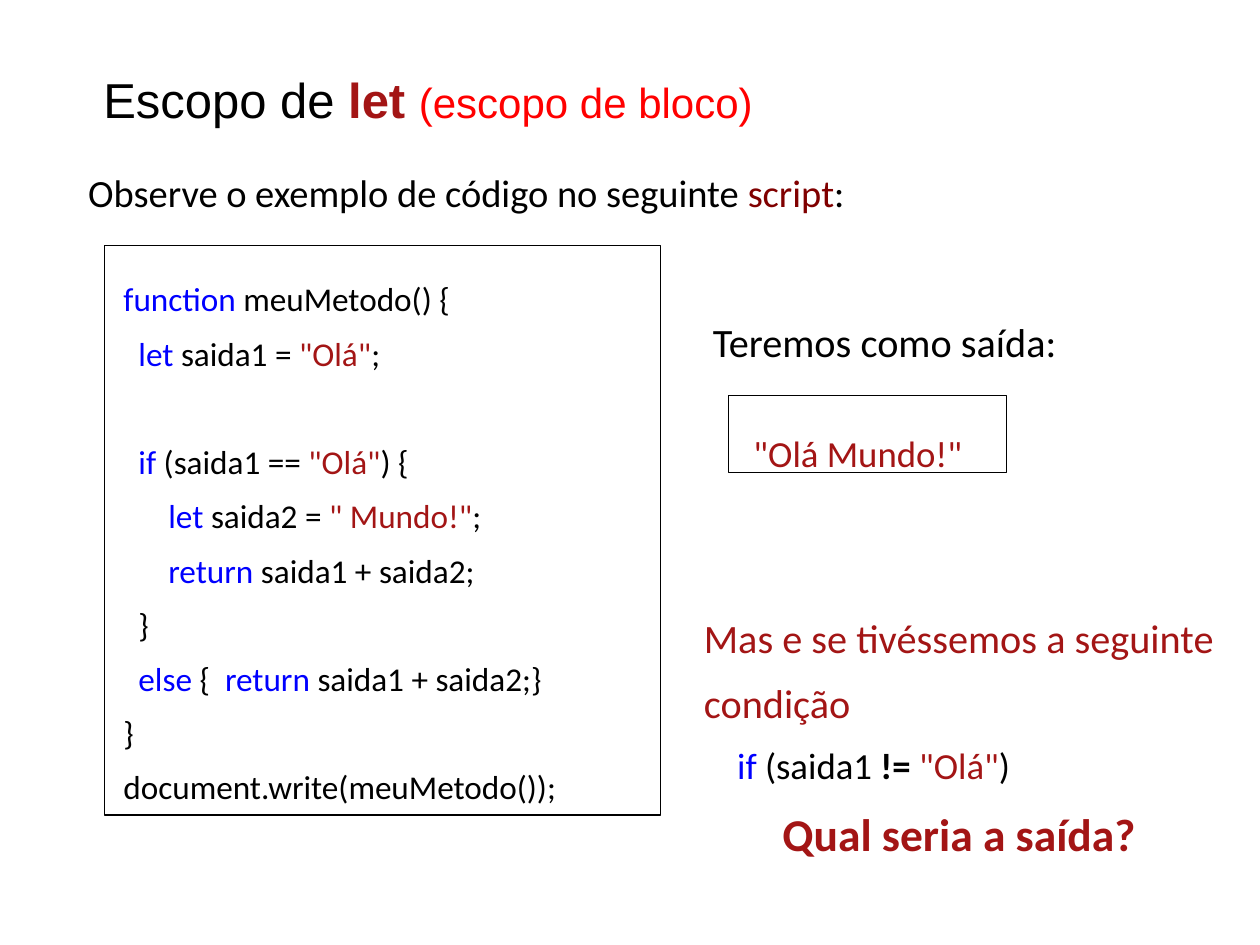
from pptx import Presentation
from pptx.dml.color import RGBColor
from pptx.enum.shapes import MSO_SHAPE as Kind
from pptx.enum.text import MSO_ANCHOR as Anchor, PP_ALIGN as Align
from pptx.util import Cm, Pt

BLACK = RGBColor(0x00, 0x00, 0x00)
WHITE = RGBColor(0xFF, 0xFF, 0xFF)
RED = RGBColor(0xFF, 0x00, 0x00)
BRICK = RGBColor(0xA3, 0x15, 0x15)
WINE = RGBColor(0x80, 0x00, 0x00)
BLUE = RGBColor(0x00, 0x00, 0xFF)

CODE = [
    [("function", BLUE), (" meuMetodo() {", BLACK)],
    [("  let", BLUE), (" saida1 = ", BLACK), ('"Olá"', BRICK), (";", BLACK)],
    [("  if", BLUE), (" (saida1 == ", BLACK), ('"Olá"', BRICK), (") {", BLACK)],
    [("      let", BLUE), (" saida2 = ", BLACK), ('" Mundo!"', BRICK), (";", BLACK)],
    [("      return", BLUE), (" saida1 + saida2;", BLACK)],
    [("  }", BLACK)],
    [("  else", BLUE), (" { ", BLACK), (" return", BLUE), (" saida1 + saida2;}", BLACK)],
    [("}", BLACK)],
    [("document.write(meuMetodo());", BLACK)],
]
TEST = [("if", BLUE), (" (saida1 ", BLACK), ("!= ", BLACK, True), ('"Olá"', BRICK), (")", BLACK)]


class Deck:
    """Hold the text style and the current slide."""

    def __init__(self, font="Calibri", lead=1.36):
        self.font, self.lead = font, lead
        self.prs = Presentation()
        self.prs.slide_width, self.prs.slide_height = Cm(25.4), Cm(19.05)
        self.slide = self.prs.slides.add_slide(self.prs.slide_layouts[5])

    def run(self, para, text, size, color, bold=False, font=None):
        run = para.add_run()
        run.text = text
        run.font.name = font or self.font
        run.font.size, run.font.bold = Pt(size), bold
        run.font.color.rgb = color

    def title(self, place, runs):
        shape = self.slide.shapes.title
        shape.left, shape.top, shape.width, shape.height = map(Cm, place)
        frame = shape.text_frame
        frame.vertical_anchor = Anchor.MIDDLE
        para = frame.paragraphs[0]
        para.alignment = Align.LEFT
        for text, size, color, bold in runs:
            self.run(para, text, size, color, bold, "Arial")

    def rect(self, place, fill=None):
        shape = self.slide.shapes.add_shape(Kind.RECTANGLE, *map(Cm, place))
        shape.shadow.inherit = False
        if fill is None:
            shape.fill.background()
        else:
            shape.fill.solid()
            shape.fill.fore_color.rgb = fill
        shape.line.color.rgb = BLACK
        shape.line.width = Pt(0.75)

    def box(self, place):
        frame = self.slide.shapes.add_textbox(*map(Cm, place)).text_frame
        frame.word_wrap = True
        frame.margin_left = frame.margin_right = Cm(0.25)
        frame.margin_top = frame.margin_bottom = Cm(0.25)
        return frame

    def para(self, frame, runs, size, lead=None, gap=0, left=0, right=0, align=Align.LEFT):
        first = frame.paragraphs[0]
        para = frame.add_paragraph() if first.runs else first
        props = para._p.get_or_add_pPr()
        props.set("marL", str(Cm(left)))
        props.set("marR", str(Cm(right)))
        para.alignment = align
        para.line_spacing = lead or self.lead
        if gap:
            para.space_before = Pt(gap)
        for text, *style in runs:
            self.run(para, text, size, *style)

    def save(self):
        self.prs.save("out.pptx")


def main():
    deck = Deck()
    deck.rect((2.11, 4.95, 11.2, 11.48), WHITE)
    deck.title((1.83, 0.46, 22.45, 3.05), [
        ("Escopo de ", 28, BLACK, False),
        ("let ", 28, BRICK, True),
        ("(escopo de bloco)", 24, RED, False),
    ])

    intro = deck.box((1.35, 3.15, 22.94, 1.45))
    deck.para(intro, [("Observe o exemplo de código no seguinte ", BLACK),
                      ("script", WINE), (":", BLACK)],
              22, lead=1.0, left=0.18, align=Align.JUSTIFY)

    code = deck.box((2.24, 5.08, 10.87, 11.25))
    for row, runs in enumerate(CODE):
        deck.para(code, runs, 19, gap=31 if row == 2 else 0)

    side = deck.box((13.94, 6.15, 11.2, 11.13))
    deck.para(side, [("Teremos como saída:", BLACK)], 23, lead=1.0, left=0.18)
    deck.para(side, [('"Olá Mundo!"', BRICK)], 21, gap=28, left=1)
    deck.para(side, [("Mas e se tivéssemos a seguinte condição", BRICK)], 23, gap=69)
    deck.para(side, TEST, 21, left=0.67)
    deck.para(side, [("Qual seria a saída?", BRICK, True)], 26, right=0.4, align=Align.CENTER)

    deck.rect((14.68, 7.98, 5.61, 1.55))
    deck.save()


if __name__ == "__main__":
    main()
